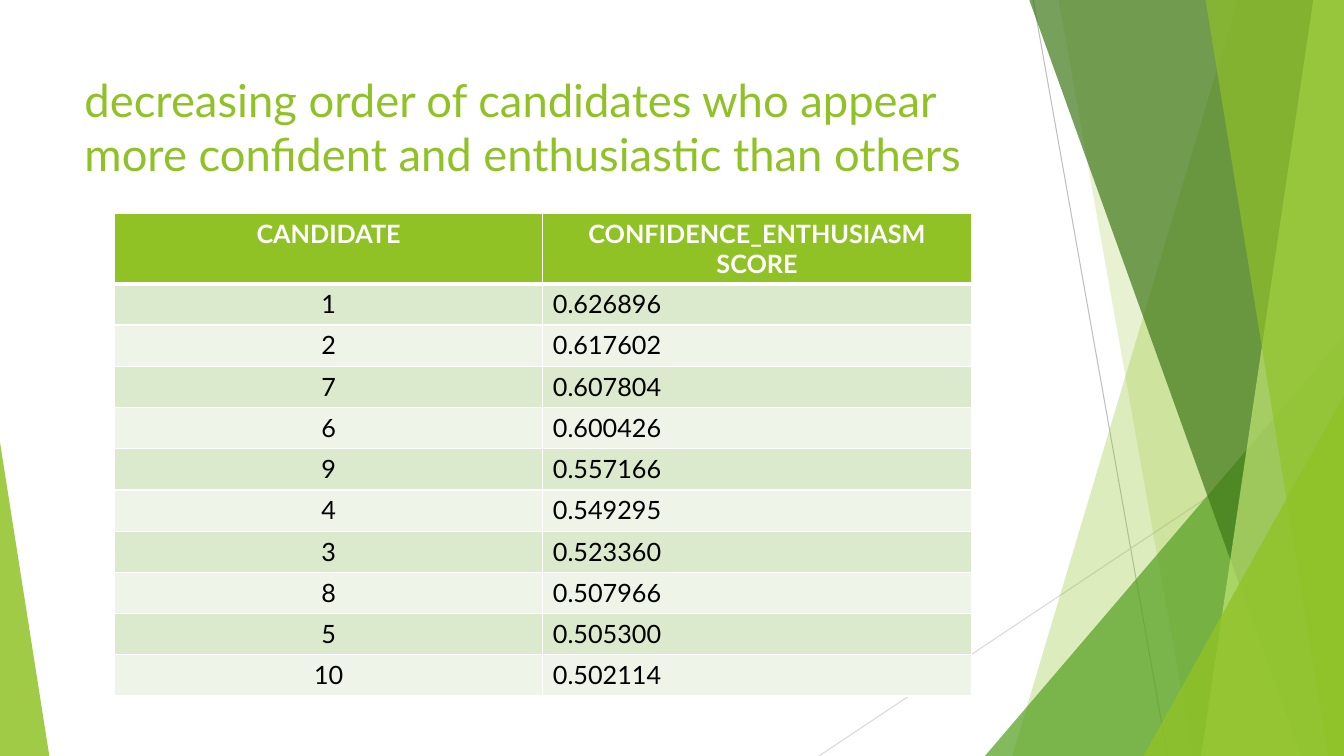
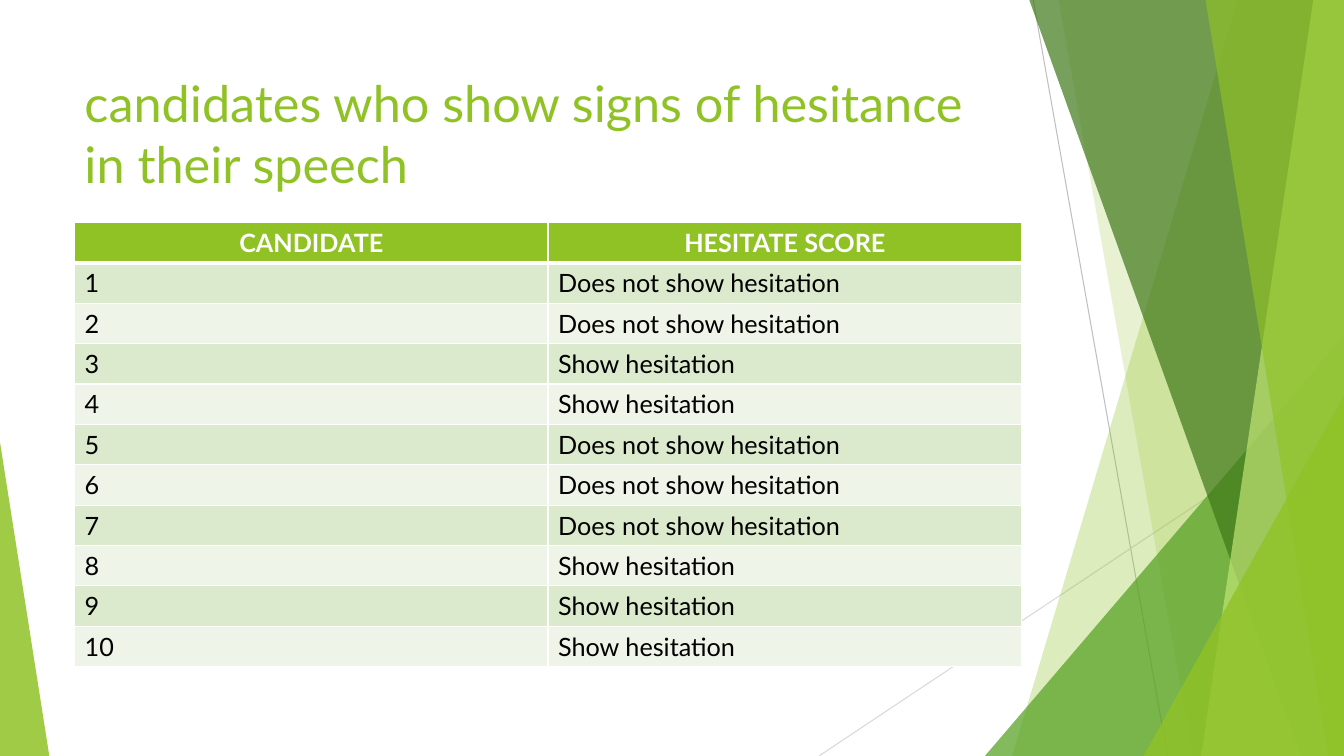
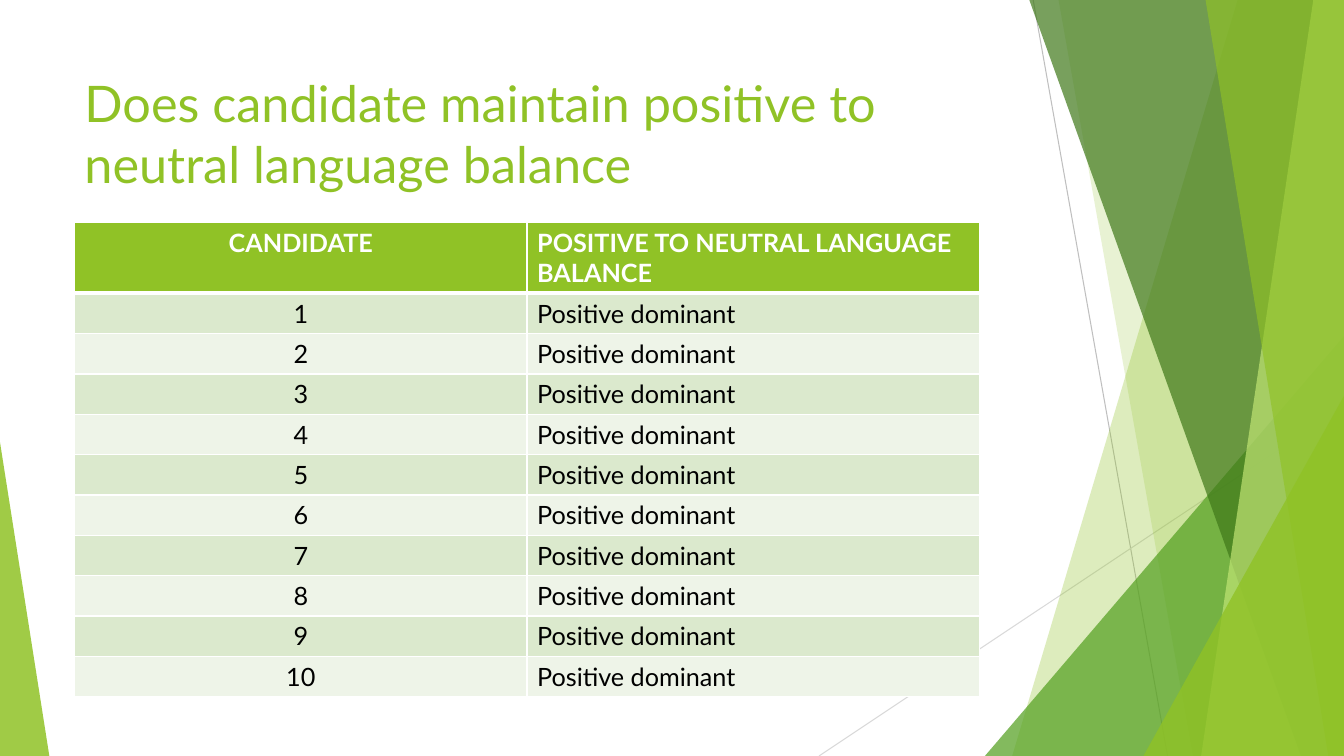
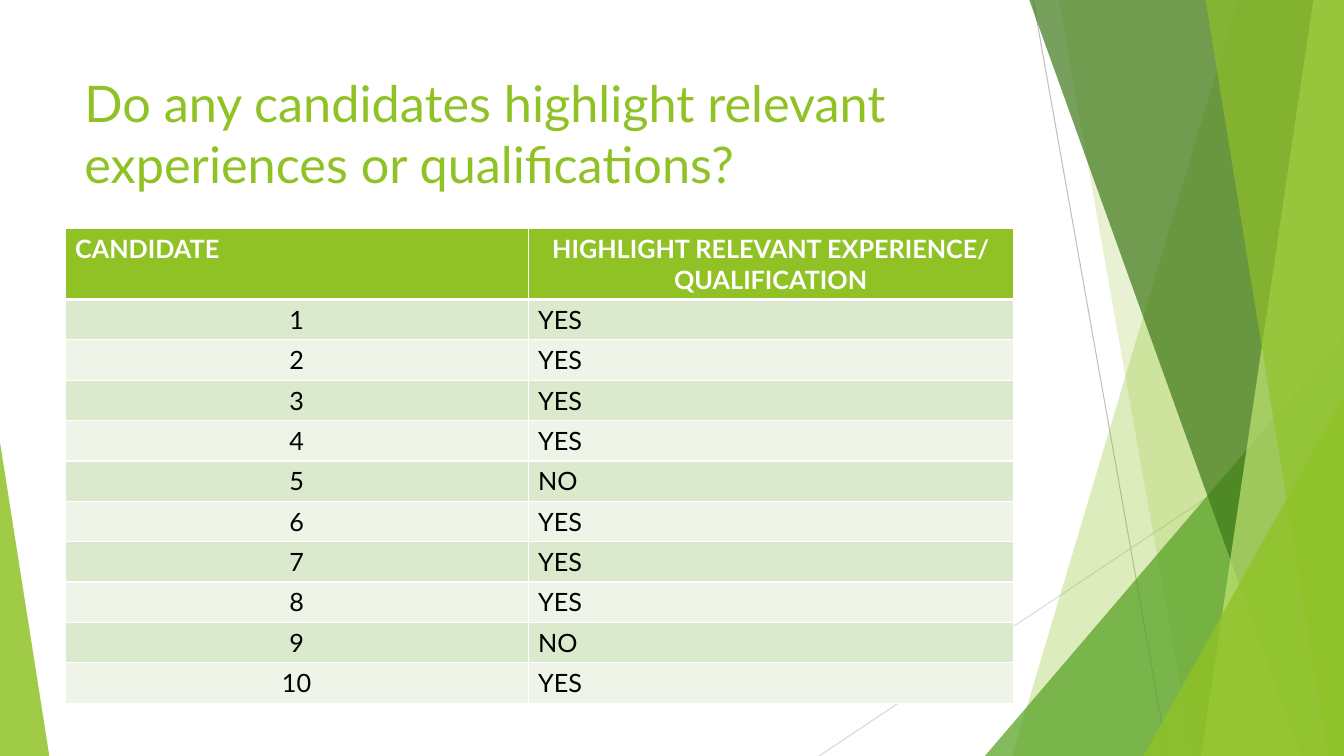
import pptx
import pptx.util
import pptx.dml.color
import pptx.enum.shapes
import pptx.enum.text
import pptx.oxml
import pptx.oxml.ns

PX = 9525  # EMU in one px, 96 px to the inch
WIDE, HIGH = 1280, 720
LIME, WHITE, BLACK = "90C226", "FFFFFF", "000000"
BANDS = ["DBE9CD", "EEF4E8"]
ALIGN = {"l": pptx.enum.text.PP_ALIGN.LEFT, "c": pptx.enum.text.PP_ALIGN.CENTER}
SPACE = pptx.oxml.ns.nsdecls("a")

# Backdrop: start x, start y, end x, end y, colour
LINES = [
    (984, 0, 1112, 720, "BFBFBF"),
    (1280, 387, 780, 720, "D9D9D9"),
]

# Backdrop, back to front: a blade has top x and bottom x,
# a triangle has left, top, width, height and the place of its tip
PANES = [
    ((1179, 964), LIME, 30),
    ((1008, 1136), LIME, 20),
    ((938, 320, 342, 400, 1), "54A021", 72),
    ((980, 1239), "3F7819", 70),
    ((1251, 1144), "C0E474", 70),
    ((1148, 1265), LIME, 65),
    ((1089, 377, 191, 343, 1), LIME, 80),
    ((0, 421, 47, 299, 0), LIME, 85),
]

# Slides: align holds one letter a column, high the whole table height
COUNT = [str(n) for n in range(1, 11)]
CALM, SHY = "Does not show hesitation", "Show hesitation"
SLIDES = [
    {
        "title": "decreasing order of candidates who appear more confident and enthusiastic than others",
        "size": 32.4, "at": (109, 203), "cols": (408, 408), "top": 67, "high": 460,
        "head": ("CANDIDATE", "CONFIDENCE_ENTHUSIASM SCORE"), "align": ("cc", "cl"),
        "rows": [
            ("1", "0.626896"), ("2", "0.617602"), ("7", "0.607804"), ("6", "0.600426"),
            ("9", "0.557166"), ("4", "0.549295"), ("3", "0.523360"), ("8", "0.507966"),
            ("5", "0.505300"), ("10", "0.502114"),
        ],
    },
    {
        "title": "candidates who show signs of hesitance in their speech",
        "size": 36, "at": (71, 212), "cols": (451, 451), "top": 38, "high": 422,
        "head": ("CANDIDATE", "HESITATE SCORE"), "align": ("cc", "ll"),
        "rows": [(n, CALM if n in ("1", "2", "5", "6", "7") else SHY) for n in COUNT],
    },
    {
        "title": "Does candidate maintain positive to neutral language balance",
        "size": 36, "at": (71, 212), "cols": (431, 431), "top": 67, "high": 451,
        "head": ("CANDIDATE", "POSITIVE TO NEUTRAL LANGUAGE BALANCE"), "align": ("cl", "cl"),
        "rows": [(n, "Positive dominant") for n in COUNT],
    },
    {
        "title": "Do any candidates highlight relevant experiences or qualifications?",
        "size": 36, "at": (62, 218), "cols": (441, 462), "top": 67, "high": 451,
        "head": ("CANDIDATE", "HIGHLIGHT RELEVANT EXPERIENCE/ QUALIFICATION"), "align": ("lc", "cl"),
        "rows": [(n, "NO" if n in ("5", "9") else "YES") for n in COUNT],
    },
]


def hue(code):
    return pptx.dml.color.RGBColor.from_string(code)


def write(frame, text, size, code, bold=False, align="l"):
    frame.text = text
    para = frame.paragraphs[0]
    para.alignment = ALIGN[align]
    font = para.runs[0].font
    look = {"name": "Lato", "size": pptx.util.Pt(size), "bold": bold}
    for key, value in look.items():
        setattr(font, key, value)
    font.color.rgb = hue(code)


deck = pptx.Presentation()
deck.slide_width, deck.slide_height = WIDE * PX, HIGH * PX

for page in SLIDES:
    slide = deck.slides.add_slide(deck.slide_layouts[6])
    shapes = slide.shapes

    # Thin lines
    for *ends, code in LINES:
        line = shapes.add_connector(
            pptx.enum.shapes.MSO_CONNECTOR.STRAIGHT, *[v * PX for v in ends])
        line.line.width = pptx.util.Pt(0.75)
        line.line.color.rgb = hue(code)
        line._element.spPr.append(pptx.oxml.parse_xml(f"<a:effectLst {SPACE}/>"))

    # Clear panes
    for place, code, alpha in PANES:
        if len(place) == 2:
            top, foot = place
            path = shapes.build_freeform(top, -1, scale=PX)
            path.add_line_segments([(WIDE, -1), (WIDE, HIGH), (foot, HIGH)])
            pane = path.convert_to_shape()
        else:
            *box, tip = place
            pane = shapes.add_shape(
                pptx.enum.shapes.MSO_SHAPE.ISOSCELES_TRIANGLE, *[v * PX for v in box])
            pane.adjustments[0] = tip
        pane.shadow.inherit = False
        pane.line.fill.background()
        pane.fill.solid()
        pane.fill.fore_color.rgb = hue(code)
        tint = pane._element.spPr.find(".//" + pptx.oxml.ns.qn("a:srgbClr"))
        tint.append(pptx.oxml.parse_xml(f'<a:alpha {SPACE} val="{alpha * 1000}"/>'))

    # Title
    frame = shapes.add_textbox(*[v * PX for v in (71, 64, 902, 138)]).text_frame
    frame.word_wrap = True
    write(frame, page["title"], page["size"], LIME)

    # Table
    rows = [page["head"]] + page["rows"]
    left, top = page["at"]
    box = (left, top, sum(page["cols"]), page["high"])
    table = shapes.add_table(len(rows), 2, *[v * PX for v in box]).table
    for col, width in zip(table.columns, page["cols"]):
        col.width = width * PX
    step = (page["high"] - page["top"]) * PX // len(page["rows"])

    for r, row in enumerate(rows):
        head = r == 0
        table.rows[r].height = page["top"] * PX if head else step
        for c, text in enumerate(row):
            cell = table.cell(r, c)
            align = page["align"][0 if head else 1][c]
            write(cell.text_frame, text, 18, WHITE if head else BLACK, head, align)
            cell.fill.solid()
            cell.fill.fore_color.rgb = hue(LIME if head else BANDS[(r - 1) % 2])

            # Cell borders, thick under the head
            props = cell._tc.get_or_add_tcPr()
            for i, side in enumerate("LRTB"):
                thick = (r, side) in ((0, "B"), (1, "T"))
                width = pptx.util.Pt(3 if thick else 1)
                props.insert(i, pptx.oxml.parse_xml(
                    f'<a:ln{side} {SPACE} w="{width}"><a:solidFill>'
                    f'<a:srgbClr val="{WHITE}"/></a:solidFill></a:ln{side}>'))

deck.save("out.pptx")
